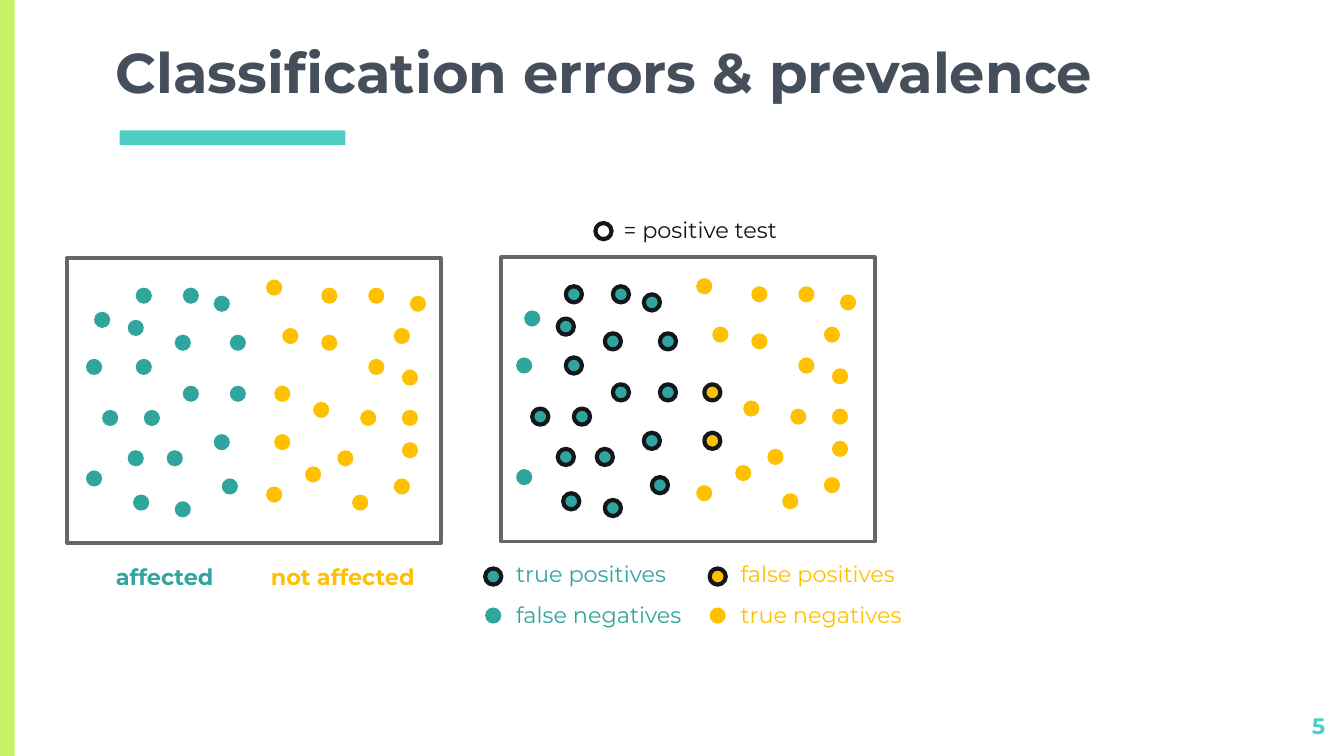
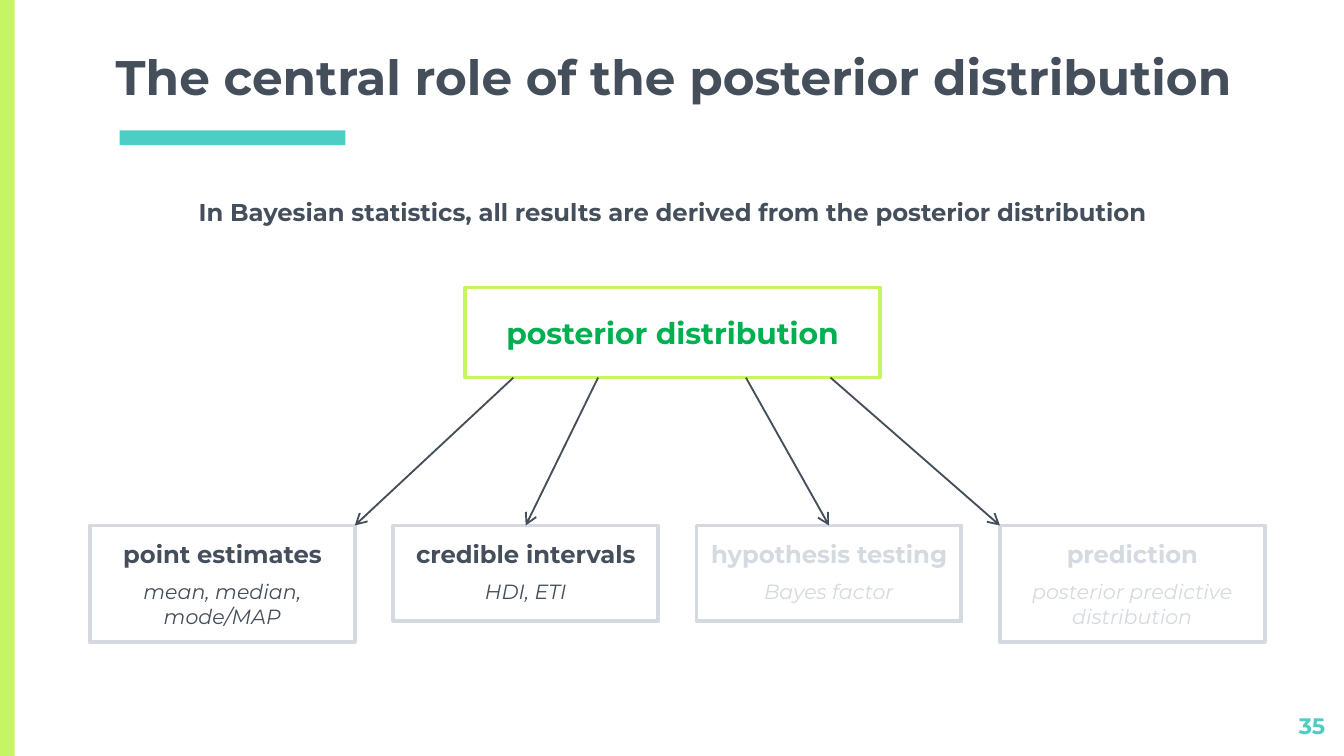
"""Build two statistics slides: classification errors and the posterior distribution."""
from lxml.etree import SubElement
from pptx import Presentation
from pptx.dml.color import RGBColor
from pptx.enum.shapes import MSO_CONNECTOR, MSO_SHAPE
from pptx.enum.text import MSO_ANCHOR, MSO_AUTO_SIZE, PP_ALIGN
from pptx.oxml.ns import qn
from pptx.util import Inches, Pt

FONT = "Montserrat"
LIME, TURQUOISE, SLATE = "C7F464", "4ECDC4", "454F5B"
TEAL, AMBER, GREEN, PALE = "2FA59D", "FFC000", "00B050", "D4DAE0"
INK, RING, FRAME, WHITE = "121619", "13161A", "666666", "FFFFFF"
SLIDE_WIDTH = 10
SLIDE_HEIGHT = SLIDE_WIDTH * 9 / 16
INSET, INDENT = 0.1, 0.08
DOT = 0.12

BANDS = [((0.89, 0.97, 1.68, 0.11), TURQUOISE), ((0, 0, 0.11, SLIDE_HEIGHT), LIME)]
NUMBER_AREA = (9.36, 5.2, 0.6, 0.34)

OUTCOMES = [
    {"label": "true positives", "colour": TEAL, "ringed": True, "column": 0, "row": 0,
     "dots": [(1.01, 2.67), (1.3, 2.49), (1.36, 2.14), (0.95, 2.38), (0.76, 3.05), (1.07, 3.05),
              (1.36, 2.87), (0.95, 3.35), (1.24, 3.35), (1.59, 3.23), (1.71, 2.49), (1.3, 3.73),
              (1.59, 2.2), (1.01, 2.14), (0.99, 3.68), (1.65, 3.56), (1.71, 2.87)]},
    {"label": "false negatives", "colour": TEAL, "ringed": False, "column": 0, "row": 1,
     "dots": [(0.64, 2.67), (0.7, 2.32), (0.64, 3.5)]},
    {"label": "false positives", "colour": AMBER, "ringed": True, "column": 1, "row": 0,
     "dots": [(2.04, 3.23), (2.04, 2.87)]},
    {"label": "true negatives", "colour": AMBER, "ringed": False, "column": 1, "row": 1,
     "dots": [(2.74, 2.67), (2.39, 2.49), (2.39, 2.14), (2.93, 2.44), (2.99, 2.75), (2.99, 3.05),
              (2.68, 3.05), (2.33, 2.99), (2.93, 3.56), (2.51, 3.35), (2.1, 2.44), (2.27, 3.47),
              (3.05, 2.2), (1.98, 2.08), (2.74, 2.14), (2.99, 3.29), (2.62, 3.68), (1.98, 3.62)]},
]
PANELS = [
    {"frame": (0.5, 1.92, 2.78, 2.12), "shift": (0, 0), "tested": False},
    {"frame": (3.73, 1.91, 2.78, 2.12), "shift": (3.2, -0.01), "tested": True},
]
CONDITIONS = [("affected", TEAL, (0.51, 4.09, 1.35, 0.42)),
              ("not affected", AMBER, (1.63, 4.09, 1.76, 0.42))]

STATEMENT = "In Bayesian statistics, all results are derived from the posterior distribution"
POSTERIOR = ("posterior distribution", (3.46, 2.14, 3.09, 0.67))
RESULTS = [
    {"name": "point estimates", "details": ["mean, median,", "mode/MAP"], "colour": SLATE,
     "height": 0.87, "start": 3.82, "end": 1},
    {"name": "credible intervals", "details": ["HDI, ETI"], "colour": SLATE,
     "height": 0.71, "start": 4.45, "end": 0.5},
    {"name": "hypothesis testing", "details": ["Bayes factor"], "colour": PALE,
     "height": 0.71, "start": 5.55, "end": 0.5},
    {"name": "prediction", "details": ["posterior predictive distribution"], "colour": PALE,
     "height": 0.87, "start": 6.18, "end": 0},
]
RESULT_LEFT, RESULT_LAST, RESULT_TOP, RESULT_WIDTH = 0.67, 7.44, 3.91, 1.97


def rgb(colour):
    """Turn a hex string into a colour."""
    return RGBColor.from_string(colour)


def assign(target, values):
    """Set each attribute named in a dict."""
    for name, value in values.items():
        setattr(target, name, value)


def line(text, size, colour, bold=False, italic=False, align=PP_ALIGN.LEFT, after=0):
    """Describe one formatted paragraph."""
    return {"text": text, "colour": colour,
            "font": {"name": FONT, "size": Pt(size), "bold": bold, "italic": italic},
            "layout": {"alignment": align, "space_after": Pt(after)}}


def write(shape, lines, anchor=MSO_ANCHOR.TOP, indent=0):
    """Fill a shape with formatted paragraphs."""
    frame = shape.text_frame
    margins = {f"margin_{side}": Inches(INSET) for side in ("top", "right", "bottom")}
    assign(frame, {**margins, "margin_left": Inches(INSET + indent), "word_wrap": True,
                   "auto_size": MSO_AUTO_SIZE.NONE, "vertical_anchor": anchor})
    for index, item in enumerate(lines):
        paragraph = frame.paragraphs[0] if index == 0 else frame.add_paragraph()
        paragraph.text = item["text"]
        assign(paragraph, item["layout"])
        assign(paragraph.font, item["font"])
        paragraph.font.color.rgb = rgb(item["colour"])


def add_text(shapes, area, lines, **options):
    """Add a text box."""
    write(shapes.add_textbox(*map(Inches, area)), lines, **options)


def add_figure(shapes, area, fill=None, outline=None, weight=2, kind=MSO_SHAPE.RECTANGLE):
    """Add a flat preset shape with optional fill and outline."""
    figure = shapes.add_shape(kind, *map(Inches, area))
    figure.shadow.inherit = False
    for part, colour in ((figure.fill, fill), (figure.line.fill, outline)):
        if colour:
            part.solid()
            part.fore_color.rgb = rgb(colour)
        else:
            part.background()
    if outline:
        figure.line.width = Pt(weight)
    return figure


def add_dot(shapes, left, top, colour, ringed):
    """Add a person, ringed when the test is positive."""
    add_figure(shapes, (left, top, DOT, DOT), colour, RING if ringed else None, 2.25,
               MSO_SHAPE.OVAL)


def add_arrow(shapes, start, end):
    """Add a thin connector with an open arrowhead."""
    arrow = shapes.add_connector(MSO_CONNECTOR.STRAIGHT, *map(Inches, start + end))
    arrow.line.color.rgb = rgb(SLATE)
    arrow.line.width = Pt(1)
    SubElement(arrow.line._get_or_add_ln(), qn("a:tailEnd"), type="arrow")
    SubElement(arrow._element.spPr, qn("a:effectLst"))
    return arrow


def start_slide(deck, heading, size, width, number):
    """Add a slide with the shared bands, title and number."""
    slide = deck.slides.add_slide(deck.slide_layouts.get_by_name("Title Only"))
    for area, colour in BANDS:
        add_figure(slide.shapes, area, colour)
    title = slide.shapes.title
    assign(title, {"left": Inches(0.76), "top": Inches(-0.18),
                   "width": Inches(width), "height": Inches(1.06)})
    write(title, [line(heading, size, SLATE, bold=True)], anchor=MSO_ANCHOR.BOTTOM)
    add_text(slide.shapes, NUMBER_AREA,
             [line(str(number), 12, TURQUOISE, bold=True, align=PP_ALIGN.RIGHT)])
    return slide.shapes


def add_errors_slide(deck):
    """Show a population before and after testing."""
    shapes = start_slide(deck, "Classification errors & prevalence", 30, 8.49, 5)
    for label, colour, area in CONDITIONS:
        add_text(shapes, area, [line(label, 12, colour, bold=True, align=PP_ALIGN.CENTER)],
                 indent=INDENT)
    for panel in PANELS:
        people = shapes.add_group_shape().shapes
        across, down = panel["shift"]
        for outcome in OUTCOMES:
            ringed = panel["tested"] and outcome["ringed"]
            for left, top in outcome["dots"]:
                add_dot(people, left + across, top + down, outcome["colour"], ringed)
        add_figure(people, panel["frame"], outline=FRAME)
    legend = shapes.add_group_shape().shapes
    for outcome in OUTCOMES:
        left, row, colour = 3.61 + 1.67 * outcome["column"], outcome["row"], outcome["colour"]
        add_text(legend, (left + 0.05, 4.07 + 0.3 * row, 1.72, 0.35),
                 [line(outcome["label"], 12, colour)], indent=INDENT)
        add_dot(legend, left, 4.23 + 0.29 * row, colour, outcome["ringed"])
    test_key = shapes.add_group_shape().shapes
    add_text(test_key, (4.46, 1.51, 1.72, 0.42), [line("= positive test", 12, INK)],
             indent=INDENT)
    add_dot(test_key, 4.43, 1.66, WHITE, True)


def add_posterior_slide(deck):
    """Show the results that follow from the posterior."""
    shapes = start_slide(deck, "The central role of the posterior distribution", 26, 8.73, 35)
    centre = PP_ALIGN.CENTER
    add_text(shapes, (0.75, 1.37, 8.5, 0.55),
             [line(STATEMENT, 13, SLATE, bold=True, align=centre)])
    name, area = POSTERIOR
    posterior = add_figure(shapes, area, WHITE, LIME)
    write(posterior, [line(name, 16, GREEN, bold=True, align=centre)], anchor=MSO_ANCHOR.MIDDLE)
    posterior_bottom = area[1] + area[3]
    pitch = (RESULT_LAST - RESULT_LEFT) / (len(RESULTS) - 1)
    for index, result in enumerate(RESULTS):
        left, colour = RESULT_LEFT + index * pitch, result["colour"]
        box = add_figure(shapes, (left, RESULT_TOP, RESULT_WIDTH, result["height"]), WHITE, PALE)
        write(box, [line(result["name"], 13, colour, bold=True, align=centre, after=6)]
              + [line(detail, 11, colour, italic=True, align=centre)
                 for detail in result["details"]])
        arrow = add_arrow(shapes, (result["start"], posterior_bottom),
                          (left + RESULT_WIDTH * result["end"], RESULT_TOP))
        if result["end"] == 0.5:
            arrow.end_connect(box, 0)


def main():
    """Build and save the deck."""
    deck = Presentation()
    assign(deck, {"slide_width": Inches(SLIDE_WIDTH), "slide_height": Inches(SLIDE_HEIGHT)})
    add_errors_slide(deck)
    add_posterior_slide(deck)
    deck.save("out.pptx")


if __name__ == "__main__":
    main()
